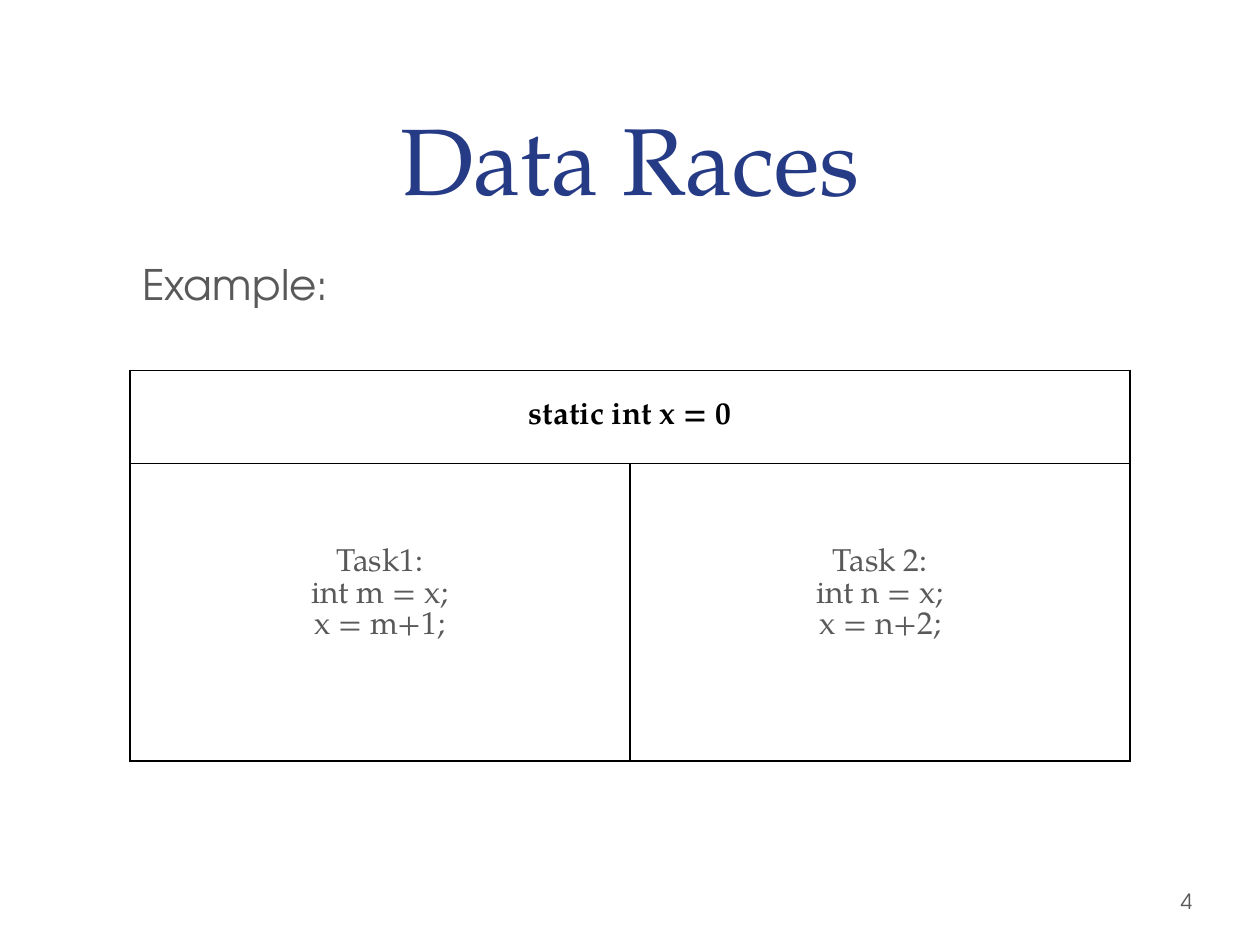
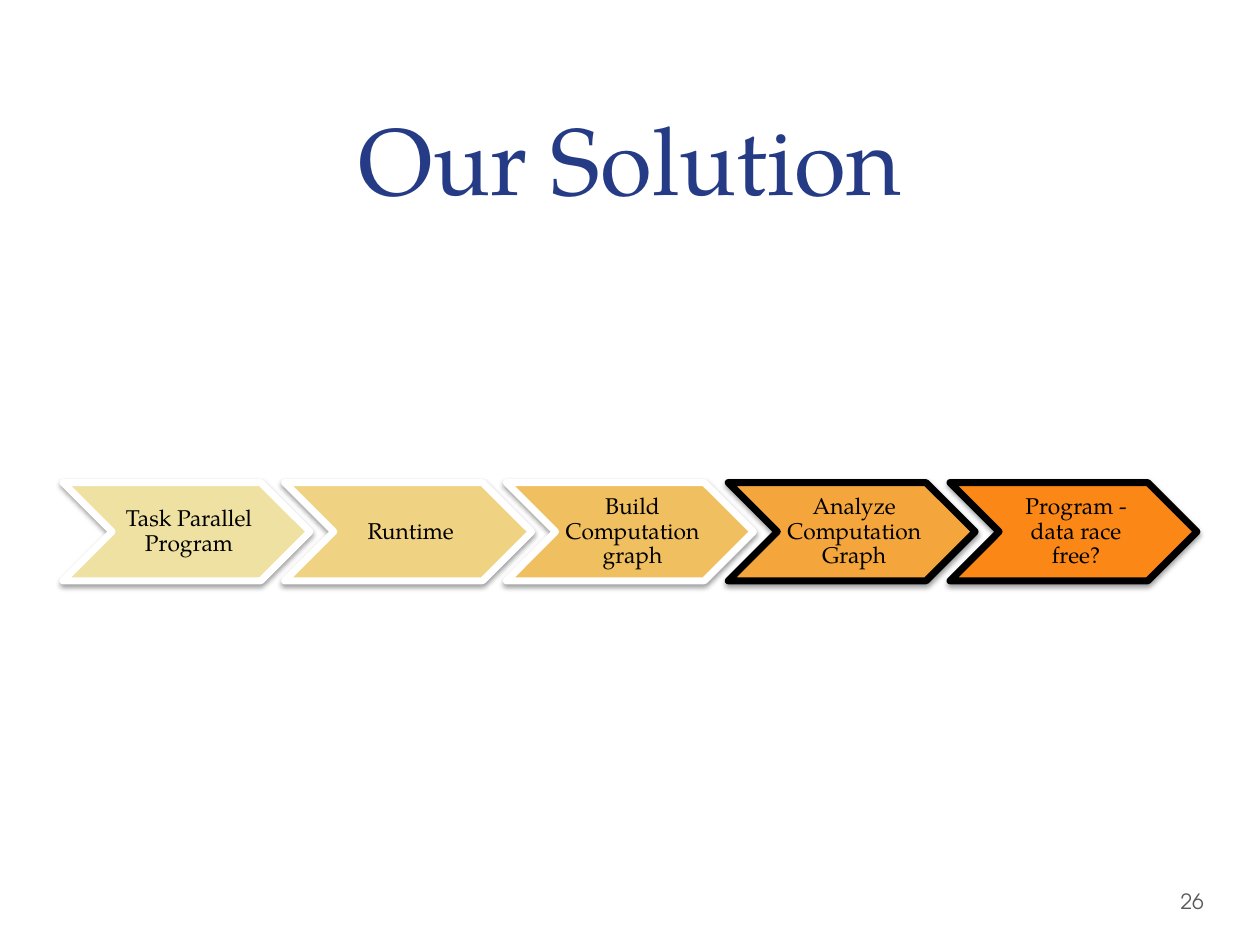
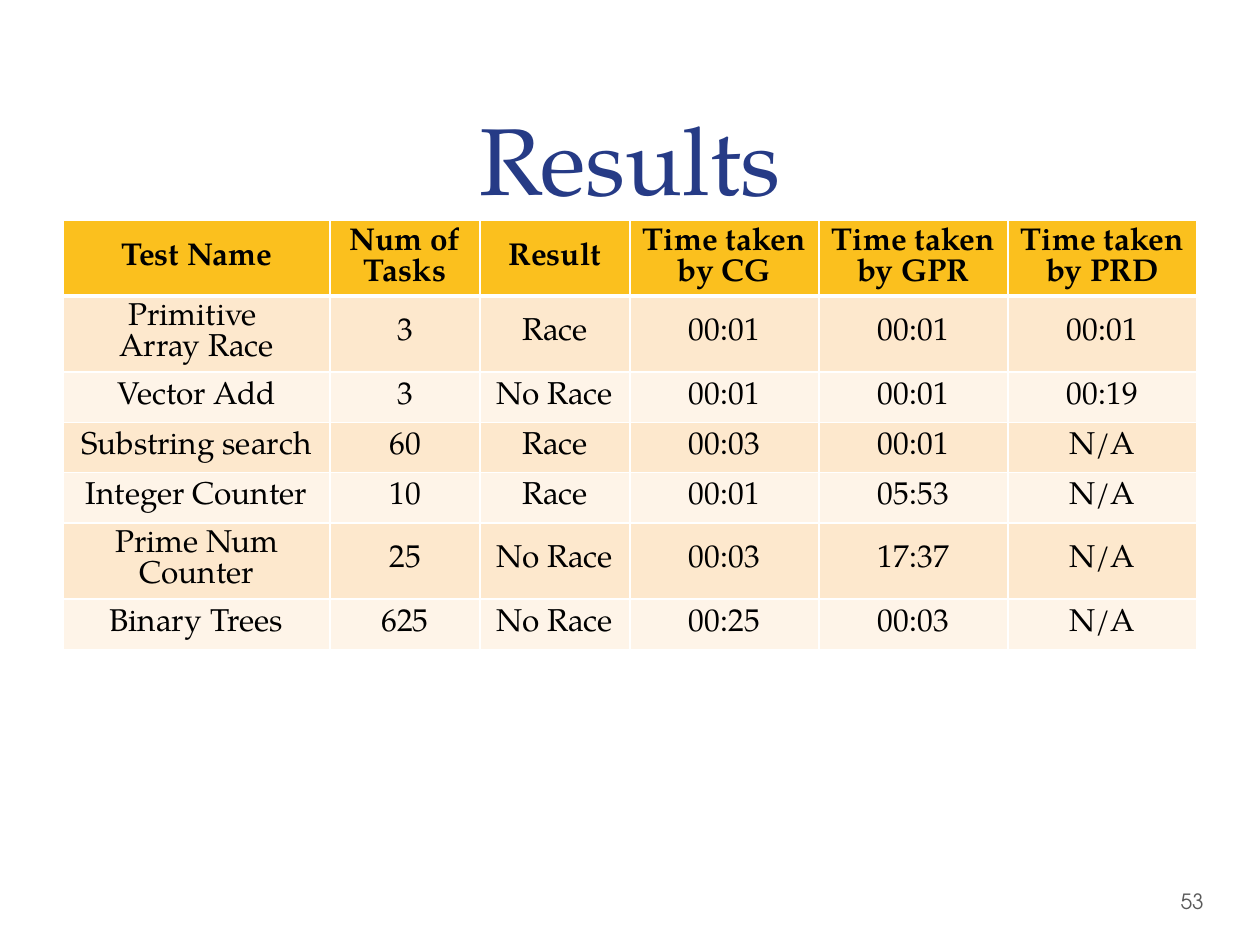
from dataclasses import dataclass

from lxml import etree
from pptx import Presentation
from pptx.dml.color import RGBColor
from pptx.enum.shapes import MSO_SHAPE
from pptx.enum.text import MSO_ANCHOR, MSO_AUTO_SIZE, PP_ALIGN
from pptx.oxml.ns import qn
from pptx.util import Inches, Pt

CHEVRON = MSO_SHAPE.CHEVRON
TOP, MIDDLE, BOTTOM = MSO_ANCHOR.TOP, MSO_ANCHOR.MIDDLE, MSO_ANCHOR.BOTTOM
LEFT, CENTER = PP_ALIGN.LEFT, PP_ALIGN.CENTER
NO_AUTOFIT = MSO_AUTO_SIZE.NONE
TITLE_ONLY = 5

SERIF, SANS = "TeX Gyre Pagella", "TeX Gyre Adventor"
NAVY, GRAY, BLACK, WHITE = "263B86", "595959", "000000", "FFFFFF"
HEADER_FILL, BAND_FILLS = "FBC01E", ("FDE8CD", "FEF4E8")


@dataclass(frozen=True)
class TextStyle:
    """Look of a block of text."""

    size: float
    font: str = SERIF
    color: str = BLACK
    bold: bool = False
    align: PP_ALIGN = CENTER
    line_spacing: float | None = None


@dataclass(frozen=True)
class Step:
    """One chevron of the solution pipeline."""

    label: str
    fill: str
    outline: str


TITLE = TextStyle(54, color=NAVY, line_spacing=Pt(58))
LEAD = TextStyle(24, SANS, GRAY, align=LEFT)
PAGE_NUMBER = TextStyle(12, SANS, GRAY, align=LEFT)
STEP_LABEL = TextStyle(13, line_spacing=0.9)
CELL = TextStyle(18)
CELL_BOLD = TextStyle(18, bold=True)
CELL_GRAY = TextStyle(18, color=GRAY)

STEPS = (
    Step("Task Parallel Program", "EFE1A2", WHITE),
    Step("Runtime", "EFD282", WHITE),
    Step("Build Computation graph", "F0BF60", WHITE),
    Step("Analyze Computation Graph", "F4A63C", BLACK),
    Step("Program - data race free?", "FA8716", BLACK),
)

TASKS = ("Task1:\nint m = x;\nx = m+1;", "Task 2:\nint n = x;\nx = n+2;")

RESULTS = (
    ("Test Name", "Num of Tasks", "Result",
     "Time taken by CG", "Time taken by GPR", "Time taken by PRD"),
    ("Primitive \nArray Race", "3", "Race", "00:01", "00:01", "00:01"),
    ("Vector Add", "3", "No Race", "00:01", "00:01", "00:19"),
    ("Substring search", "60", "Race", "00:03", "00:01", "N/A"),
    ("Integer Counter", "10", "Race", "00:01", "05:53", "N/A"),
    ("Prime Num Counter", "25", "No Race", "00:03", "17:37", "N/A"),
    ("Binary Trees", "625", "No Race", "00:25", "00:03", "N/A"),
)
ONE_LINE, TWO_LINES = 0.4, 0.6
RESULT_HEIGHTS = (TWO_LINES, TWO_LINES, ONE_LINE, ONE_LINE, ONE_LINE,
                  TWO_LINES, ONE_LINE)


def rgb(value: str) -> RGBColor:
    """Turn a hex string into a colour."""
    return RGBColor.from_string(value)


def write(frame, text: str, style: TextStyle) -> None:
    """Fill a text frame and format all of its runs."""
    frame.text = text
    for para in frame.paragraphs:
        para.alignment = style.align
        if style.line_spacing is not None:
            para.line_spacing = style.line_spacing
        for span in para.runs:
            span.font.name = style.font
            span.font.size = Pt(style.size)
            span.font.bold = style.bold
            span.font.color.rgb = rgb(style.color)


def set_insets(holder, left: float, top: float, right: float, bottom: float) -> None:
    """Set the inner margins of a text frame or cell in inches."""
    holder.margin_left, holder.margin_top = Inches(left), Inches(top)
    holder.margin_right, holder.margin_bottom = Inches(right), Inches(bottom)


def place(shape, left: float, top: float, width: float, height: float) -> None:
    """Move and size a shape in inches."""
    shape.left, shape.top = Inches(left), Inches(top)
    shape.width, shape.height = Inches(width), Inches(height)


def add_textbox(page, at: tuple, text: str, style: TextStyle, anchor: MSO_ANCHOR):
    """Add a wrapping text box and return its frame."""
    box = page.shapes.add_textbox(*map(Inches, at))
    frame = box.text_frame
    frame.word_wrap = True
    frame.vertical_anchor = anchor
    write(frame, text, style)
    return frame


def add_page(deck, title: str, number: int):
    """Add a slide with its title and page number."""
    page = deck.slides.add_slide(deck.slide_layouts[TITLE_ONLY])
    heading = page.shapes.title
    place(heading, 0.5, 0, 9, 1.75)
    heading.text_frame.auto_size = NO_AUTOFIT
    heading.text_frame.vertical_anchor = BOTTOM
    write(heading.text_frame, title, TITLE)
    footer = add_textbox(page, (9.34, 6.95, 0.61, 0.4), str(number), PAGE_NUMBER, MIDDLE)
    set_insets(footer, 0.03, 0.05, 0.05, 0.05)
    return page


def add_grid(page, left: float, top: float, widths: tuple, heights: tuple):
    """Add an unstyled table with the given columns and rows."""
    size = (sum(widths), sum(heights))
    table = page.shapes.add_table(
        len(heights), len(widths), *map(Inches, (left, top, *size))).table
    table.first_row = table.horz_banding = False
    for column, width in zip(table.columns, widths):
        column.width = Inches(width)
    for row, height in zip(table.rows, heights):
        row.height = Inches(height)
    return table


def set_borders(cell, color: str, bottom: float = 1) -> None:
    """Draw the four borders of a cell, widths in points."""
    properties = cell._tc.get_or_add_tcPr()
    for side, width in (("L", 1), ("R", 1), ("T", 1), ("B", bottom)):
        line = etree.SubElement(properties, qn(f"a:ln{side}"), w=str(Pt(width)))
        fill = etree.SubElement(line, qn("a:solidFill"))
        etree.SubElement(fill, qn("a:srgbClr"), val=color)


def fill_cell(cell, text: str, style: TextStyle, fill: str,
              top: float = 0.05, bottom: float = 0.05) -> None:
    """Write a centred cell, set its margins and colour its background."""
    cell.vertical_anchor = MIDDLE
    set_insets(cell, 0.1, top, 0.1, bottom)
    cell.fill.solid()
    cell.fill.fore_color.rgb = rgb(fill)
    write(cell.text_frame, text, style)


def add_shadow(shape) -> None:
    """Give a shape a soft shadow straight below it."""
    shape.shadow.inherit = False
    effects = shape._element.spPr.find(qn("a:effectLst"))
    shadow = etree.SubElement(
        effects, qn("a:outerShdw"), blurRad=str(Pt(3.1)), dist=str(Pt(1.6)),
        dir="5400000", rotWithShape="0")
    color = etree.SubElement(shadow, qn("a:srgbClr"), val=BLACK)
    etree.SubElement(color, qn("a:alpha"), val="38000")


def add_step(page, step: Step, left: float) -> None:
    """Add one labelled chevron."""
    shape = page.shapes.add_shape(
        CHEVRON, *map(Inches, (left, 3.83, 1.96, 0.78)))
    shape.fill.solid()
    shape.fill.fore_color.rgb = rgb(step.fill)
    shape.line.color.rgb = rgb(step.outline)
    shape.line.width = Pt(4)
    add_shadow(shape)
    frame = shape.text_frame
    frame.word_wrap = True
    frame.vertical_anchor = MIDDLE
    set_insets(frame, 0.06, 0.02, 0.02, 0.02)
    write(frame, step.label, STEP_LABEL)


def build_races(deck) -> None:
    """Build the data race example."""
    page = add_page(deck, "Data Races", 4)
    lead = add_textbox(page, (1.03, 2, 7.93, 4.95), "Example:", LEAD, TOP)
    lead.paragraphs[0].space_before = Pt(4.8)
    table = add_grid(page, 1.03, 2.94, (3.97, 3.97), (0.74, 2.36))
    for cell in table.iter_cells():
        set_borders(cell, BLACK)
    table.cell(0, 0).merge(table.cell(0, 1))
    fill_cell(table.cell(0, 0), "static int x = 0", CELL_BOLD, WHITE)
    for column, task in enumerate(TASKS):
        fill_cell(table.cell(1, column), task, CELL_GRAY, WHITE, bottom=0.31)


def build_solution(deck) -> None:
    """Build the pipeline of solution steps."""
    page = add_page(deck, "Our Solution", 26)
    for index, step in enumerate(STEPS):
        add_step(page, step, 0.5 + 1.76 * index)


def build_results(deck) -> None:
    """Build the table of test results."""
    page = add_page(deck, "Results", 53)
    widths = (2.12, 1.19, 1.19, 1.5, 1.5, 1.5)
    table = add_grid(page, 0.5, 1.75, widths, RESULT_HEIGHTS)
    for row, (values, height) in enumerate(zip(RESULTS, RESULT_HEIGHTS)):
        is_header = row == 0
        fill = HEADER_FILL if is_header else BAND_FILLS[(row - 1) % 2]
        style = CELL_BOLD if is_header else CELL
        margin = 0 if height == TWO_LINES else 0.05
        for column, value in enumerate(values):
            cell = table.cell(row, column)
            set_borders(cell, WHITE, bottom=3 if is_header else 1)
            fill_cell(cell, value, style, fill, margin, margin)


def main() -> None:
    """Build and save the deck."""
    deck = Presentation()
    deck.slide_width, deck.slide_height = Inches(10), Inches(7.5)
    build_races(deck)
    build_solution(deck)
    build_results(deck)
    deck.save("out.pptx")


if __name__ == "__main__":
    main()
